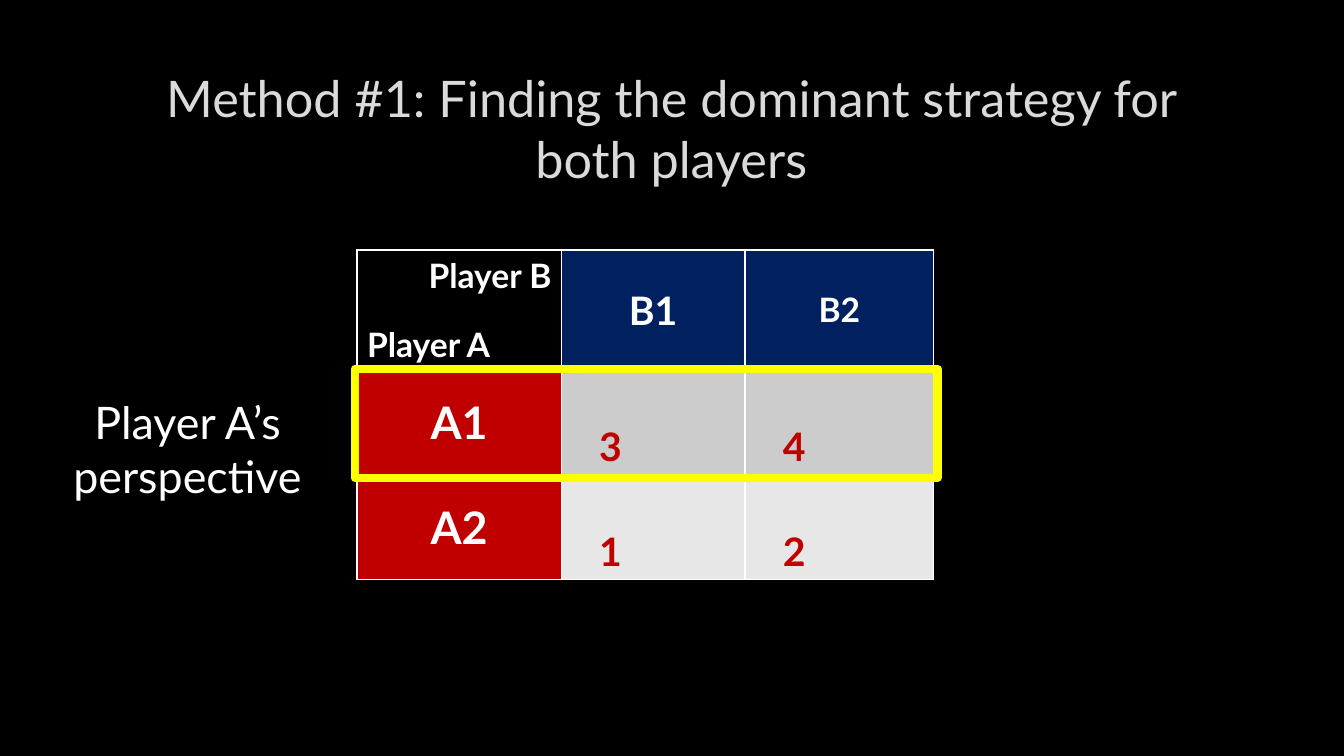
from lxml import etree
from pptx import Presentation
from pptx import util as u
from pptx.dml.color import RGBColor
from pptx.enum import shapes, text
from pptx.oxml.ns import qn

WHITE, BLACK, NAVY, RED, YELLOW = "FFFFFF", "000000", "002060", "C00000", "FFFF00"
LEFT, CENTER = text.PP_ALIGN.LEFT, text.PP_ALIGN.CENTER
MIDDLE, BOTTOM = text.MSO_ANCHOR.MIDDLE, text.MSO_ANCHOR.BOTTOM


def color(value):
    return RGBColor.from_string(value)


class SlideBuilder:
    font = "Lato"

    def __init__(self, presentation, background):
        self.slide = presentation.slides.add_slide(presentation.slide_layouts[5])
        fill = self.slide.background.fill
        fill.solid()
        fill.fore_color.rgb = color(background)

    def add_words(self, frame, words, size, ink=WHITE, bold=False, align=LEFT):
        paragraph = frame.paragraphs[0]
        paragraph.alignment = align
        run = paragraph.add_run()
        run.text = words
        formats = {"name": self.font, "size": u.Pt(size), "bold": bold}
        for attribute, value in formats.items():
            setattr(run.font, attribute, value)
        run.font.color.rgb = color(ink)

    def title(self, box, words, size, ink):
        heading = self.slide.shapes.title
        for attribute, value in zip(("left", "top", "width", "height"), box):
            setattr(heading, attribute, u.Pt(value))
        formats = {"word_wrap": True, "vertical_anchor": MIDDLE,
                   "auto_size": text.MSO_AUTO_SIZE.NONE}
        for attribute, value in formats.items():
            setattr(heading.text_frame, attribute, value)
        self.add_words(heading.text_frame, words, size, ink, align=CENTER)

    def label(self, box, words, size, **style):
        frame = self.slide.shapes.add_textbox(*map(u.Pt, box)).text_frame
        frame.word_wrap = True
        frame.auto_size = text.MSO_AUTO_SIZE.SHAPE_TO_FIT_TEXT
        self.add_words(frame, words, size, **style)

    def table(self, box, widths, heights):
        grid = self.slide.shapes.add_table(
            len(heights), len(widths), *map(u.Pt, box)).table
        for column, width in zip(grid.columns, widths):
            column.width = u.Pt(width)
        for row, height in zip(grid.rows, heights):
            row.height = u.Pt(height)
        return grid

    def cell(self, cell, words, size, fill, ink=WHITE, align=CENTER,
             anchor=MIDDLE, indent=7.2):
        cell.fill.solid()
        cell.fill.fore_color.rgb = color(fill)
        cell.vertical_anchor = anchor
        cell.margin_left = u.Pt(indent)
        self.add_words(cell.text_frame, words, size, ink, bold=True, align=align)
        self.borders(cell)

    def borders(self, cell, ink=WHITE, width=1):
        properties = cell._tc.get_or_add_tcPr()
        for position, side in enumerate(("lnL", "lnR", "lnT", "lnB")):
            line = etree.Element(qn(f"a:{side}"), w=str(u.Pt(width)))
            solid = etree.SubElement(line, qn("a:solidFill"))
            etree.SubElement(solid, qn("a:srgbClr"), val=ink)
            properties.insert(position, line)

    def frame(self, box, ink, width):
        outline = self.slide.shapes.add_shape(
            shapes.MSO_SHAPE.RECTANGLE, *map(u.Pt, box))
        outline.shadow.inherit = False
        outline.fill.background()
        outline.line.color.rgb = color(ink)
        outline.line.width = u.Pt(width)


def main():
    presentation = Presentation()
    presentation.slide_width, presentation.slide_height = u.Pt(960), u.Pt(540)
    builder = SlideBuilder(presentation, BLACK)

    builder.title((72, 48, 815, 86.5),
                  "Method #1: Finding the dominant strategy for both players",
                  36, "DADADA")

    # Payoff matrix: header row, then one row per strategy of player A
    payoffs = builder.table((255, 178.6, 412, 235.5),
                            (146, 131.2, 134.8), (85.5, 75, 75))
    builder.cell(payoffs.cell(0, 0), "Player A", 24, BLACK,
                 align=LEFT, anchor=BOTTOM)
    for column, (strategy, size) in enumerate((("B1", 28), ("B2", 24)), 1):
        builder.cell(payoffs.cell(0, column), strategy, size, NAVY)
    strategies = (("A1", "CCCCCC", "34"), ("A2", "E7E7E7", "12"))
    for row, (strategy, band, values) in enumerate(strategies, 1):
        builder.cell(payoffs.cell(row, 0), strategy, 32, RED)
        for column, value in enumerate(values, 1):
            builder.cell(payoffs.cell(row, column), value, 28, band, ink=RED,
                         align=LEFT, anchor=BOTTOM, indent=27)

    # Player labels
    builder.label((299, 178.6, 123, 36), "Player B", 24, bold=True)
    builder.label((34, 278.6, 200, 85), "Player A’s perspective", 32, align=CENTER)

    # Dominant strategy of player A
    builder.frame((253.4, 263.5, 416.2, 77.8), YELLOW, 6)

    presentation.save("out.pptx")


if __name__ == "__main__":
    main()
